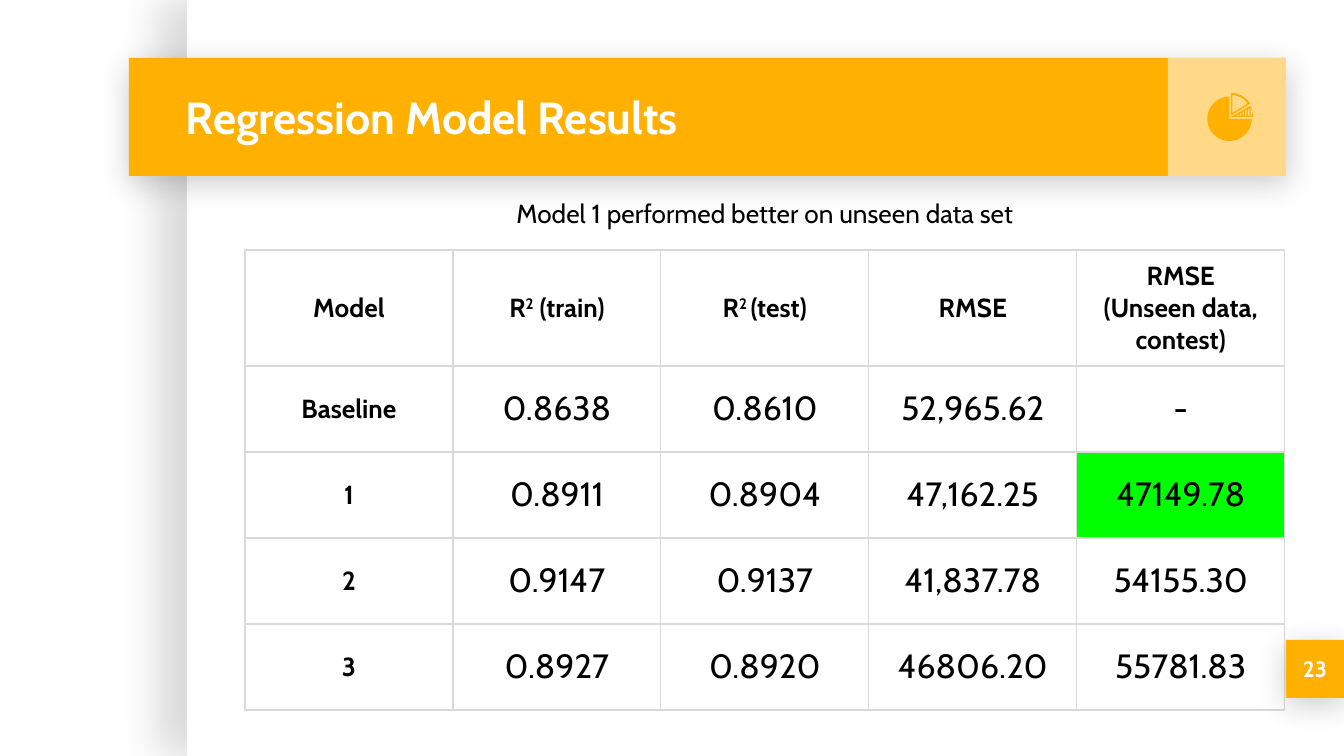
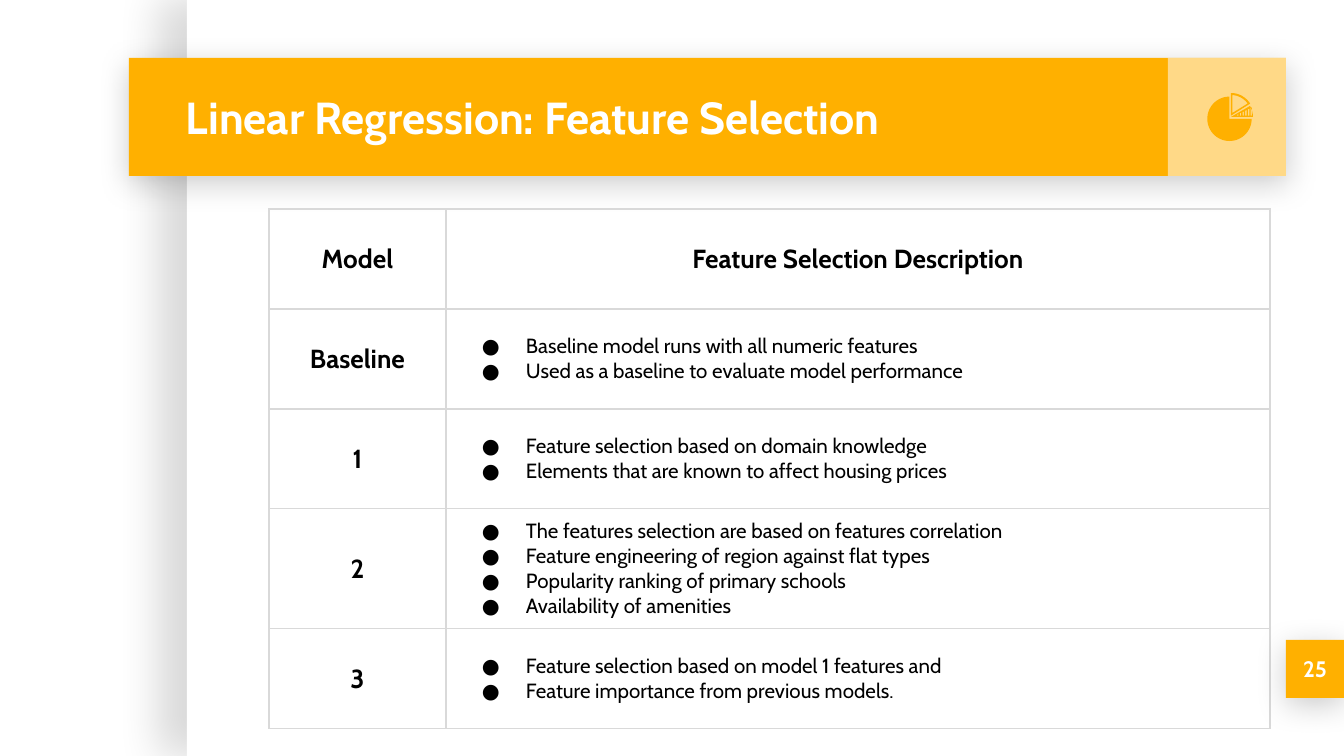
from dataclasses import dataclass
from math import cos, radians, sin
from typing import NamedTuple, Optional

from lxml.etree import SubElement
from pptx import Presentation
from pptx.dml.color import RGBColor
from pptx.enum.shapes import MSO_SHAPE
from pptx.enum.text import MSO_ANCHOR, MSO_AUTO_SIZE, PP_ALIGN
from pptx.oxml.ns import qn
from pptx.util import Pt

PX = 914400 / 134.4
ICON_UNIT = PX / 10


def px(n: int) -> int:
    return round(n * PX)


@dataclass(frozen=True)
class Theme:
    font: str = "Cabin"
    accent: str = "FFB000"
    white: str = "FFFFFF"
    ink: str = "000000"
    grid: str = "D9D9D9"
    best: str = "00FF00"
    title_pt: int = 24
    value_pt: int = 18
    label_pt: int = 14
    page_pt: int = 12
    list_pt: int = 11
    grid_pt: float = 0.75
    inset: int = 13
    cell_inset: int = 9


T = Theme()


class Box(NamedTuple):
    x: int
    y: int
    w: int
    h: int

    def emu(self) -> list[int]:
        return [px(n) for n in self]


class Shadow(NamedTuple):
    alpha: int
    blur: float
    dist: float
    angle: int


@dataclass(frozen=True)
class Panel:
    box: Box
    fill: str
    shadow: Optional[Shadow] = None
    alpha: int = 100


@dataclass(frozen=True)
class Cell:
    lines: tuple[str, ...]
    size: int = T.label_pt
    bold: bool = True
    bullets: bool = False
    fill: Optional[str] = None


@dataclass(frozen=True)
class Grid:
    x: int
    y: int
    cols: list[int]
    rows: list[int]
    cells: list[list[Cell]]


DROP = Shadow(20, 16.9, 3.8, 90)
SHEET = Panel(Box(187, 0, 1157, 756), T.white, Shadow(15, 22.5, 15, 180))
BAND = Panel(Box(129, 58, 1157, 118), T.accent, DROP)
TILE = Panel(Box(1168, 58, 118, 118), T.white, alpha=53)
BADGE = Panel(Box(1286, 640, 58, 58), T.accent, DROP)
TITLE = Box(173, 58, 991, 118)
SUBTITLE = Box(392, 184, 746, 59)


def style_run(r, size: int, color: str, bold: bool) -> None:
    r.font.name = T.font
    r.font.size = Pt(size)
    r.font.bold = bold
    r.font.color.rgb = RGBColor.from_string(color)


def set_line(tf, text: str, size: int, color: str, bold: bool, align) -> None:
    tf.word_wrap = True
    tf.auto_size = MSO_AUTO_SIZE.NONE
    tf.margin_left = tf.margin_right = px(T.inset)
    tf.margin_top = tf.margin_bottom = px(T.inset)
    tf.text = text
    p = tf.paragraphs[0]
    p.alignment = align
    style_run(p.runs[0], size, color, bold)


def add_shadow(sp, shadow: Shadow) -> None:
    effects = sp.element.spPr.find(qn("a:effectLst"))
    outer = SubElement(effects, qn("a:outerShdw"), blurRad=str(Pt(shadow.blur)),
                       dist=str(Pt(shadow.dist)), dir=str(shadow.angle * 60000),
                       algn="bl", rotWithShape="0")
    color = SubElement(outer, qn("a:srgbClr"), val=T.ink)
    SubElement(color, qn("a:alpha"), val=str(shadow.alpha * 1000))


def fill_shape(sp, color: str) -> None:
    sp.shadow.inherit = False
    sp.fill.solid()
    sp.fill.fore_color.rgb = RGBColor.from_string(color)
    sp.line.fill.background()


def add_panel(s, panel: Panel):
    sp = s.shapes.add_shape(MSO_SHAPE.RECTANGLE, *panel.box.emu())
    fill_shape(sp, panel.fill)
    if panel.alpha < 100:
        color = sp.element.spPr.find(qn("a:solidFill"))[0]
        SubElement(color, qn("a:alpha"), val=str(panel.alpha * 1000))
    if panel.shadow:
        add_shadow(sp, panel.shadow)
    return sp


def add_title(s, text: str) -> None:
    sp = s.shapes.title
    s.shapes.element.append(sp.element)
    sp.left, sp.top, sp.width, sp.height = TITLE.emu()
    set_line(sp.text_frame, text, T.title_pt, T.white, True, PP_ALIGN.LEFT)
    sp.text_frame.vertical_anchor = MSO_ANCHOR.MIDDLE


def add_page_number(s, number: int) -> None:
    tf = add_panel(s, BADGE).text_frame
    set_line(tf, str(number), T.page_pt, T.white, True, PP_ALIGN.CENTER)
    tf.vertical_anchor = MSO_ANCHOR.MIDDLE


def add_subtitle(s, text: str) -> None:
    tf = s.shapes.add_textbox(*SUBTITLE.emu()).text_frame
    set_line(tf, text, T.label_pt, T.ink, False, PP_ALIGN.CENTER)


def arc(radius: int, start: int, end: int, steps: int) -> list[tuple[float, float]]:
    angles = [radians(start + (end - start) * i / steps) for i in range(steps + 1)]
    return [(radius * cos(a), radius * sin(a)) for a in angles]


def add_outline(group, x: int, y: int, contours: list) -> None:
    fb = group.shapes.build_freeform(*contours[0][0], scale=ICON_UNIT)
    for i, points in enumerate(contours):
        if i:
            fb.move_to(*points[0])
        fb.add_line_segments(points[1:], close=True)
    fill_shape(fb.convert_to_shape(round(x * ICON_UNIT), round(y * ICON_UNIT)), T.accent)


def hatch_bar(i: int) -> list[tuple[float, float]]:
    left, bottom = 62 + 27 * i, -14
    right = left + 14
    return [(left, min(bottom, 9 - left / 2)), (right, 9 - right / 2),
            (right, bottom), (left, bottom)]


def add_pie_icon(s) -> None:
    group = s.shapes.add_group_shape()
    add_outline(group, 12295, 1188, [[(0, 0)] + arc(222, 0, 270, 60)])
    add_outline(group, 12310, 1170,
                [[(0, 0)] + arc(220, -30, 0, 10)] + [hatch_bar(i) for i in range(6)])
    add_outline(group, 12310, 1156,
                [[(0, 0)] + arc(226, -90, -32, 16), [(15, -27)] + arc(206, -86, -36, 16)])


def add_borders(cell) -> None:
    pr = cell._tc.get_or_add_tcPr()
    for side in ("lnL", "lnR", "lnT", "lnB"):
        ln = SubElement(pr, qn(f"a:{side}"), w=str(Pt(T.grid_pt)))
        SubElement(SubElement(ln, qn("a:solidFill")), qn("a:srgbClr"), val=T.grid)


def add_bullet(p) -> None:
    pr = p._p.get_or_add_pPr()
    pr.set("marL", str(px(67)))
    pr.set("indent", str(px(-44)))
    SubElement(SubElement(pr, qn("a:buClr")), qn("a:srgbClr"), val=T.ink)
    SubElement(pr, qn("a:buFont"), typeface=T.font)
    SubElement(pr, qn("a:buChar"), char="●")


def write_cell(cell, content: Cell) -> None:
    add_borders(cell)
    if content.fill:
        cell.fill.solid()
        cell.fill.fore_color.rgb = RGBColor.from_string(content.fill)
    else:
        cell.fill.background()
    cell.vertical_anchor = MSO_ANCHOR.MIDDLE
    cell.margin_left = cell.margin_right = px(T.inset)
    cell.margin_top = cell.margin_bottom = px(T.cell_inset)
    tf = cell.text_frame
    for i, line in enumerate(content.lines):
        p = tf.add_paragraph() if i else tf.paragraphs[0]
        p.alignment = PP_ALIGN.LEFT if content.bullets else PP_ALIGN.CENTER
        if content.bullets:
            add_bullet(p)
        for j, part in enumerate(line.split("^")):
            r = p.add_run()
            r.text = part
            style_run(r, content.size, T.ink, content.bold)
            if j % 2:
                r._r.get_or_add_rPr().set("baseline", "30000")


def add_grid(s, grid: Grid) -> None:
    box = Box(grid.x, grid.y, sum(grid.cols), sum(grid.rows))
    table = s.shapes.add_table(len(grid.rows), len(grid.cols), *box.emu()).table
    table.first_row = table.horz_banding = False
    for col, width in zip(table.columns, grid.cols):
        col.width = px(width)
    for row, height, contents in zip(table.rows, grid.rows, grid.cells):
        row.height = px(height)
        for cell, content in zip(row.cells, contents):
            write_cell(cell, content)


def add_slide(prs, title: str, grid: Grid, page: int):
    s = prs.slides.add_slide(prs.slide_layouts[5])
    for panel in (SHEET, BAND, TILE):
        add_panel(s, panel)
    add_title(s, title)
    add_grid(s, grid)
    add_page_number(s, page)
    add_pie_icon(s)
    return s


def result_row(model: str, *values: str, best: str = "") -> list[Cell]:
    return [Cell((model,))] + [
        Cell((v,), T.value_pt, False, fill=T.best if v == best else None) for v in values]


def feature_row(model: str, *points: str) -> list[Cell]:
    return [Cell((model,)), Cell(points, T.list_pt, False, bullets=True)]


RESULTS = Grid(245, 250, [208] * 5, [116] + [86] * 4, [
    [Cell(("Model",)), Cell(("R^2^ (train)",)), Cell(("R^2 ^(test)",)), Cell(("RMSE",)),
     Cell(("RMSE", "(Unseen data, contest)"))],
    result_row("Baseline", "0.8638", "0.8610", "52,965.62", "-"),
    result_row("1", "0.8911", "0.8904", "47,162.25", "47149.78", best="47149.78"),
    result_row("2", "0.9147", "0.9137", "41,837.78", "54155.30"),
    result_row("3", "0.8927", "0.8920", "46806.20", "55781.83"),
])

FEATURES = Grid(269, 209, [177, 824], [100, 100, 100, 120, 100], [
    [Cell(("Model",)), Cell(("Feature Selection Description",))],
    feature_row("Baseline", "Baseline model runs with all numeric features",
                "Used as a baseline to evaluate model performance"),
    feature_row("1", "Feature selection based on domain knowledge",
                "Elements that are known to affect housing prices"),
    feature_row("2", "The features selection are based on features correlation",
                "Feature engineering of region against flat types",
                "Popularity ranking of primary schools", "Availability of amenities"),
    feature_row("3", "Feature selection based on model 1 features and",
                "Feature importance from previous models."),
])


def main() -> None:
    prs = Presentation()
    prs.slide_width, prs.slide_height = px(1344), px(756)
    s = add_slide(prs, "Regression Model Results", RESULTS, 23)
    add_subtitle(s, "Model 1 performed better on unseen data set")
    add_slide(prs, "Linear Regression: Feature Selection", FEATURES, 25)
    prs.save("out.pptx")


if __name__ == "__main__":
    main()
